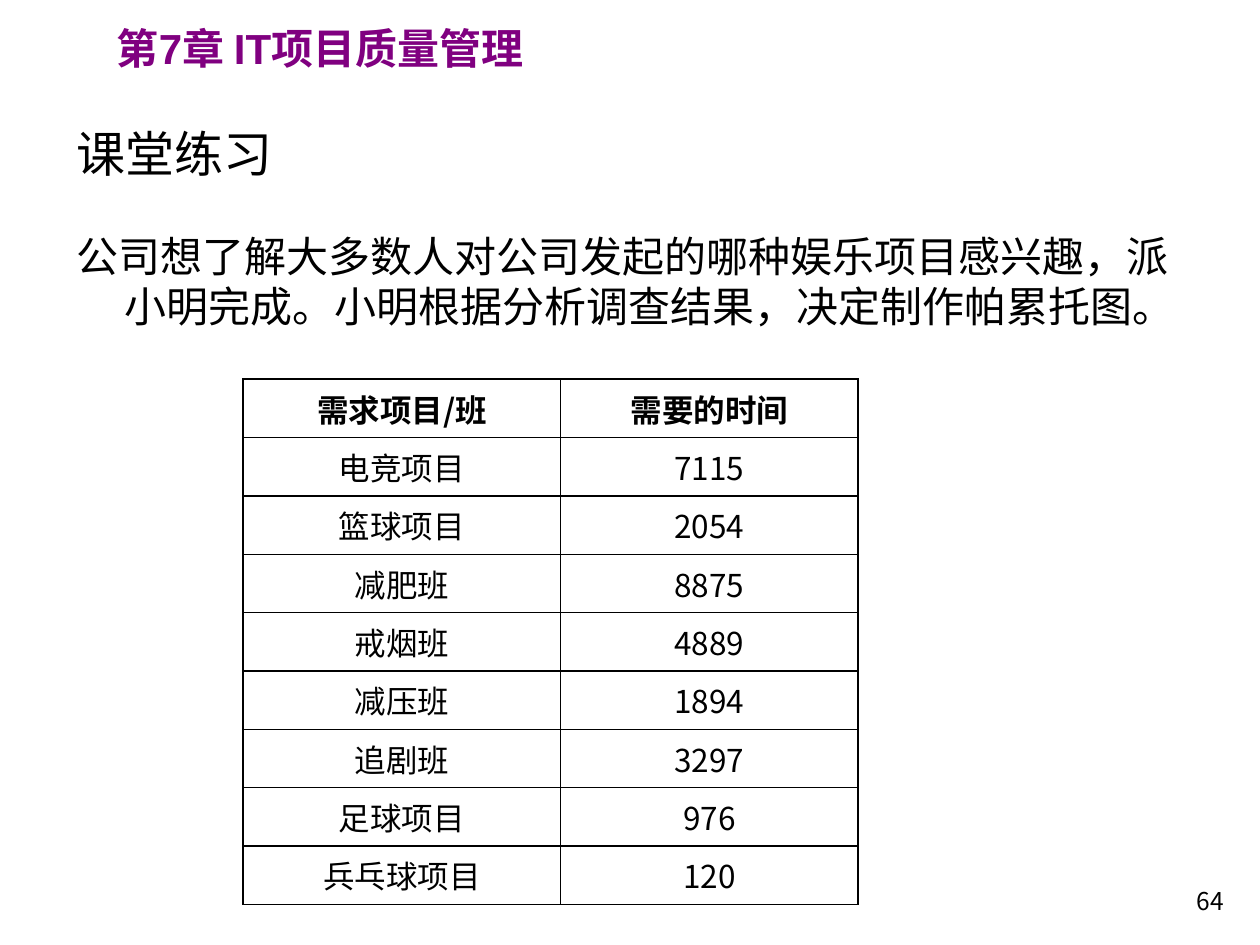
import dataclasses
import pptx
import pptx.dml.color
import pptx.enum.text
import pptx.oxml
import pptx.oxml.ns
import pptx.util
from pptx.util import Inches

ALIGN = pptx.enum.text.PP_ALIGN
ANCHOR = pptx.enum.text.MSO_ANCHOR
COLORS = {"ink": "000000", "head": "800080"}
ARIAL = "Arial"
NOTO = "Noto Sans CJK SC"


@dataclasses.dataclass
class Style:
    size: float
    font: str = NOTO
    color: str = "ink"
    bold: bool = False
    align: ALIGN = ALIGN.LEFT


@dataclasses.dataclass
class Box:
    left: float
    top: float
    width: float
    height: float

    def span(self) -> tuple:
        return tuple(map(Inches, dataclasses.astuple(self)))


def write(frame, text: str, style: Style):
    para = frame.paragraphs[0]
    para.alignment = style.align
    run = para.add_run()
    run.text = text
    font = run.font
    font.name = style.font
    font.size = pptx.util.Pt(style.size)
    font.bold = style.bold
    font.color.rgb = pptx.dml.color.RGBColor.from_string(COLORS[style.color])
    face = pptx.oxml.parse_xml(
        f'<a:ea {pptx.oxml.ns.nsdecls("a")} typeface="{NOTO}"/>')
    font._element.find(pptx.oxml.ns.qn("a:latin")).addnext(face)
    return para


def add_text(slide, box: Box, text: str, style: Style):
    frame = slide.shapes.add_textbox(*box.span()).text_frame
    frame.word_wrap = True
    return write(frame, text, style)


def set_title(slide, box: Box, text: str, style: Style) -> None:
    title = slide.shapes.title
    title.left, title.top, title.width, title.height = box.span()
    frame = title.text_frame
    frame.auto_size = pptx.enum.text.MSO_AUTO_SIZE.NONE
    frame.vertical_anchor = ANCHOR.MIDDLE
    write(frame, text, style)


def add_edges(cell) -> None:
    props = cell._tc.get_or_add_tcPr()
    for spot, side in enumerate(("lnL", "lnR", "lnT", "lnB")):
        edge = pptx.oxml.parse_xml(
            f'<a:{side} {pptx.oxml.ns.nsdecls("a")} w="12700"><a:solidFill>'
            f'<a:srgbClr val="{COLORS["ink"]}"/></a:solidFill></a:{side}>')
        props.insert(spot, edge)


def add_grid(slide, box: Box, cols: list[float], rows: list[tuple]) -> None:
    table = slide.shapes.add_table(len(rows), len(cols), *box.span()).table
    table.horz_banding = False
    for col, width in zip(table.columns, cols):
        col.width = Inches(width)
    for r, row in enumerate(rows):
        for c, text in enumerate(row):
            cell = table.cell(r, c)
            cell.fill.background()
            add_edges(cell)
            write(cell.text_frame, text,
                  Style(18, bold=r == 0, align=ALIGN.CENTER))


ROWS = [
    ("需求项目/班", "需要的时间"),
    ("电竞项目", "7115"),
    ("篮球项目", "2054"),
    ("减肥班", "8875"),
    ("戒烟班", "4889"),
    ("减压班", "1894"),
    ("追剧班", "3297"),
    ("足球项目", "976"),
    ("兵乓球项目", "120"),
]


def main() -> None:
    deck = pptx.Presentation()
    deck.slide_width, deck.slide_height = Inches(10), Inches(7.5)
    slide = deck.slides.add_slide(deck.slide_layouts[5])

    add_text(slide, Box(0.83, 0.13, 4.02, 0.5), "第7章 IT项目质量管理",
             Style(24, ARIAL, "head", True))
    set_title(slide, Box(0.51, 0.91, 7.8, 0.61), "课堂练习", Style(28, ARIAL))

    body = add_text(
        slide, Box(0.51, 1.78, 9, 1.02),
        "公司想了解大多数人对公司发起的哪种娱乐项目感兴趣，派小明完成。"
        "小明根据分析调查结果，决定制作帕累托图。", Style(24))
    body.space_before = pptx.util.Pt(4.8)
    props = body._p.get_or_add_pPr()
    props.set("marL", str(Inches(0.38)))
    props.set("indent", str(Inches(-0.38)))

    add_text(slide, Box(8.94, 6.98, 0.87, 0.47), "64",
             Style(14, align=ALIGN.RIGHT))
    add_grid(slide, Box(1.93, 3.01, 4.88, 4.17), [2.52, 2.36], ROWS)
    deck.save("out.pptx")


if __name__ == "__main__":
    main()
